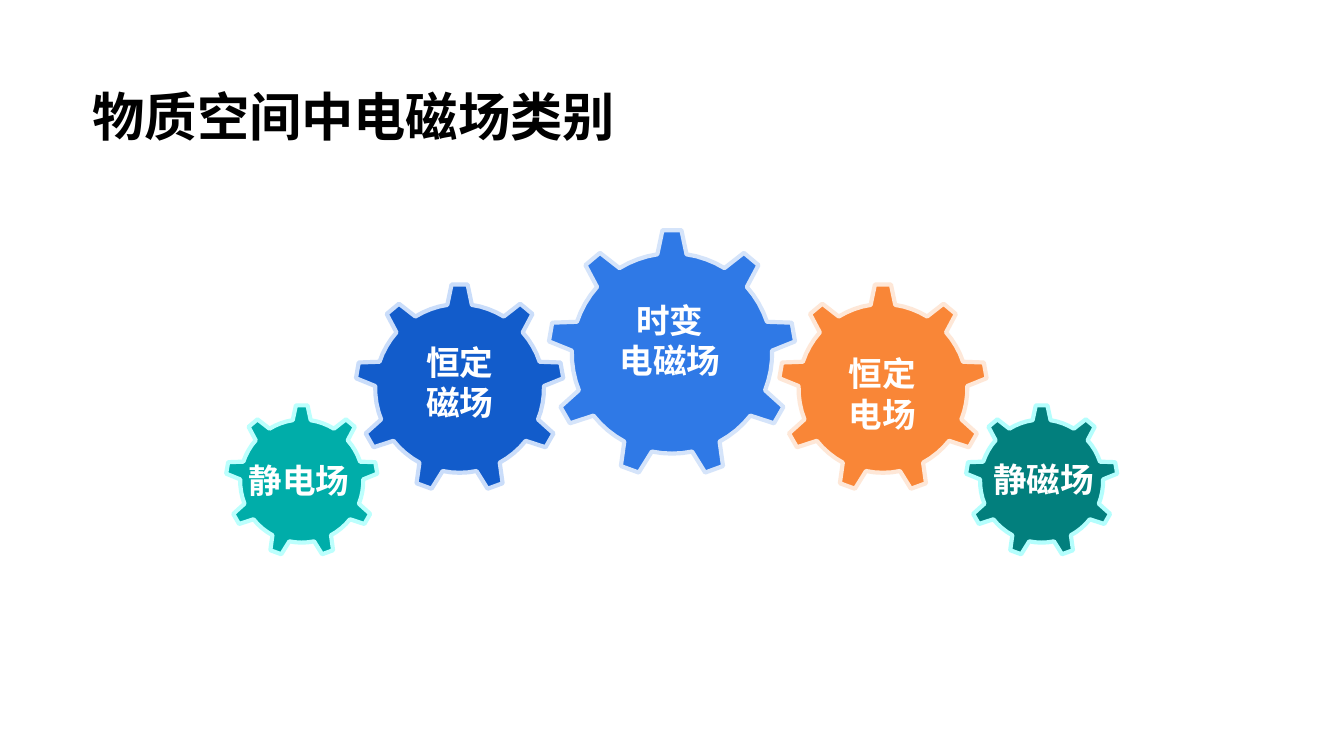
import math
from pptx import Presentation
from pptx import util as u
from pptx.dml.color import RGBColor
from pptx.enum import text

WHITE = RGBColor(0xFF, 0xFF, 0xFF)
BLACK = RGBColor(0, 0, 0)
NAVY, NAVY_RIM = RGBColor(0x12, 0x5C, 0xCB), RGBColor(0xCA, 0xDD, 0xFA)
ORANGE, ORANGE_RIM = RGBColor(0xF9, 0x86, 0x37), RGBColor(0xFE, 0xE7, 0xD7)
BLUE, BLUE_RIM = RGBColor(0x2F, 0x79, 0xE6), RGBColor(0xD5, 0xE4, 0xFA)
TEAL, TEAL_RIM = RGBColor(0x00, 0xAD, 0xA9), RGBColor(0xBC, 0xFF, 0xFD)
GREEN, GREEN_RIM = RGBColor(0x02, 0x7F, 0x7D), RGBColor(0xB4, 0xFE, 0xFD)

deck = Presentation()
deck.slide_width = u.Inches(10)
deck.slide_height = deck.slide_width * 9 // 16
slide = deck.slides.add_slide(deck.slide_layouts[5])
CELL = deck.slide_width / 100


def cells(*counts):
    return [round(count * CELL) for count in counts]


heading = slide.shapes.title
heading.left, heading.top, heading.width, heading.height = cells(5.9, 5.25, 49.6, 6.7)
heading.text_frame.text = "物质空间中电磁场类别"
heading.text_frame.auto_size = text.MSO_AUTO_SIZE.NONE
heading.text_frame.vertical_anchor = text.MSO_ANCHOR.MIDDLE
headline = heading.text_frame.paragraphs[0]
headline.alignment = text.PP_ALIGN.LEFT
headline.font.name = "Noto Sans CJK JP"
headline.font.size = u.Pt(28)
headline.font.bold = True
headline.font.color.rgb = BLACK

TEETH = 9
PITCH = 360 / TEETH
TIP_ANGLE, ROOT_ANGLE = 4.4, 8.4
ARC_STEPS = 4
ARC_STEP = (PITCH - 2 * ROOT_ANGLE) / ARC_STEPS
BODY_SHARE = 0.81
tooth_profile = [(-TIP_ANGLE, 1), (TIP_ANGLE, 1)]
tooth_profile += [(ROOT_ANGLE + step * ARC_STEP, BODY_SHARE) for step in range(ARC_STEPS + 1)]

LABEL_WIDTH = 10.8
fields = [
    (34.2, 28.9, 7.75, NAVY, NAVY_RIM, "恒定\n磁场", 34.2, 24.95, 7.1),
    (65.7, 28.9, 7.75, ORANGE, ORANGE_RIM, "恒定\n电场", 65.65, 25.8, 7.1),
    (50, 26.3, 9.2, BLUE, BLUE_RIM, "时变\n电磁场", 49.85, 21.8, 7.1),
    (22.45, 35.8, 5.65, TEAL, TEAL_RIM, "静电场", 22.25, 33.75, 4),
    (77.5, 35.8, 5.65, GREEN, GREEN_RIM, "静磁场", 77.65, 33.65, 4),
]

for hub_x, hub_y, radius, color, rim, name, label_x, label_top, label_height in fields:
    outline = []
    for tooth in range(TEETH):
        for offset, share in tooth_profile:
            angle = math.radians(tooth * PITCH + offset)
            outline.append(cells(hub_x + radius * share * math.sin(angle),
                                 hub_y - radius * share * math.cos(angle)))
    builder = slide.shapes.build_freeform(*outline[0])
    builder.add_line_segments(outline[1:], close=True)
    gear = builder.convert_to_shape()
    gear.shadow.inherit = False
    gear.fill.solid()
    gear.fill.fore_color.rgb = color
    gear.line.color.rgb = rim
    gear.line.width = u.Pt(2.25)

    label = slide.shapes.add_textbox(
        *cells(label_x - LABEL_WIDTH / 2, label_top, LABEL_WIDTH, label_height)).text_frame
    label.word_wrap = True
    label.auto_size = text.MSO_AUTO_SIZE.SHAPE_TO_FIT_TEXT
    label.text = name
    for line in label.paragraphs:
        line.alignment = text.PP_ALIGN.CENTER
        line.font.name = "Arial"
        line.font.size = u.Pt(18)
        line.font.bold = True
        line.font.color.rgb = WHITE

deck.save("out.pptx")
